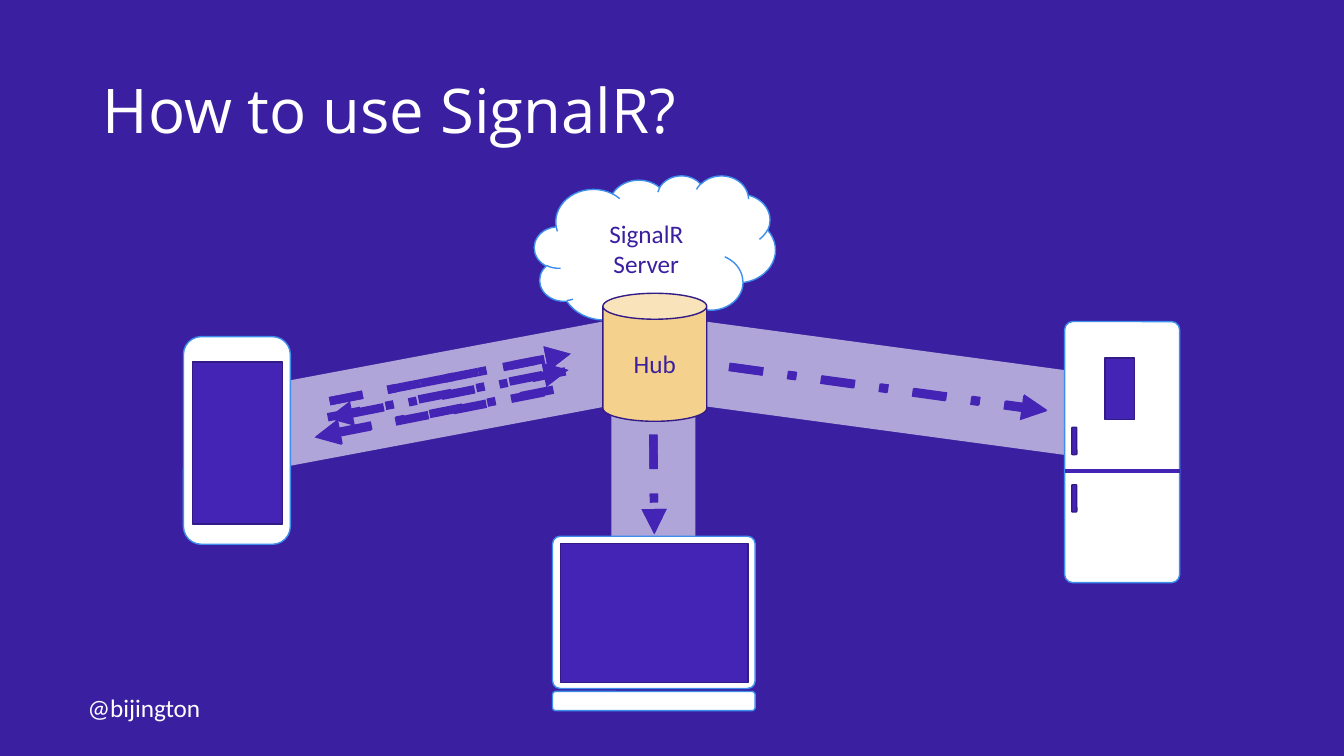
import pptx
import pptx.dml.color
import pptx.enum.dml
import pptx.enum.shapes
import pptx.enum.text
import pptx.oxml
import pptx.oxml.ns
import pptx.util

Inches = pptx.util.Inches
Pt = pptx.util.Pt
RGBColor = pptx.dml.color.RGBColor
SHAPE = pptx.enum.shapes.MSO_SHAPE
ALIGN = pptx.enum.text.PP_ALIGN
MIDDLE = pptx.enum.text.MSO_ANCHOR.MIDDLE
DASH = pptx.enum.dml.MSO_LINE.DASH
DASH_DOT = pptx.enum.dml.MSO_LINE.DASH_DOT

BACKGROUND = RGBColor(0x3A, 0x20, 0xA0)
WHITE = RGBColor(0xFF, 0xFF, 0xFF)
BLUE = RGBColor(0x3E, 0x8E, 0xED)
PURPLE = RGBColor(0x44, 0x24, 0xB5)
DARK_PURPLE = RGBColor(0x32, 0x1B, 0x86)
SAND = RGBColor(0xF5, 0xD1, 0x8E)


def add_child(parent, tag, **attributes):
    child = pptx.oxml.parse_xml(f"<a:{tag} {pptx.oxml.ns.nsdecls('a')}/>")
    for name, value in attributes.items():
        child.set(name, value)
    parent.append(child)


def write(shape, text, size, font, color, align):
    frame = shape.text_frame
    frame.vertical_anchor = MIDDLE
    para = frame.paragraphs[0]
    para.text = text
    para.alignment = align
    para.font.size = Pt(size)
    para.font.name = font
    para.font.color.rgb = color
    return frame


def add_text(page, box, text, size, font, wrap):
    label = page.shapes.add_textbox(*map(Inches, box))
    frame = write(label, text, size, font, WHITE, ALIGN.LEFT)
    frame.word_wrap = wrap
    return frame


def add_part(page, kind, box, fill, outline, text="", corner=None):
    part = page.shapes.add_shape(kind, *map(Inches, box))
    part.shadow.inherit = False
    part.fill.solid()
    part.fill.fore_color.rgb = fill
    part.line.color.rgb = outline
    part.line.width = Pt(1)
    if corner is not None:
        part.adjustments[0] = corner
    if text:
        write(part, text, 18, "Calibri", BACKGROUND, ALIGN.CENTER)


def add_line(page, start, end, color, width):
    line = page.shapes.add_connector(
        pptx.enum.shapes.MSO_CONNECTOR.STRAIGHT, *map(Inches, start + end))
    line.line.color.rgb = color
    line.line.width = Pt(width)
    add_child(line._element.spPr, "effectLst")
    return line


def add_pipe(page, start, end):
    """Draw a broad, see-through channel between a device and the hub."""
    pipe = add_line(page, start, end, WHITE, 60)
    color = next(pipe._element.iter(pptx.oxml.ns.qn("a:srgbClr")))
    add_child(color, "alpha", val="60000")


def add_message(page, start, end, dash, arrow):
    """Draw a dashed arrow; arrow is tailEnd (at end) or headEnd (at start)."""
    message = add_line(page, start, end, PURPLE, 6)
    message.line.dash_style = dash
    add_child(message.line._get_or_add_ln(), arrow, type="triangle")


def add_laptop(page, box):
    left, top, width, height = box
    base, gap, bezel = 0.19, 0.03, 0.07
    lid = height - base - gap
    add_part(page, SHAPE.ROUNDED_RECTANGLE, (left, top, width, lid),
             WHITE, BLUE, corner=0.05)
    add_part(page, SHAPE.ROUNDED_RECTANGLE,
             (left, top + height - base, width, base), WHITE, BLUE)
    add_part(page, SHAPE.RECTANGLE,
             (left + 0.08, top + bezel, width - 0.15, lid - 2 * bezel + 0.01),
             PURPLE, DARK_PURPLE)


def add_fridge(page, box):
    left, top, width, height = box
    divider = top + 1.48
    add_part(page, SHAPE.ROUNDED_RECTANGLE, box, WHITE, BLUE, corner=0.07)
    add_line(page, (left, divider), (left + width, divider), PURPLE, 3)
    for handle_top in (divider - 0.43, divider + 0.14):
        add_part(page, SHAPE.ROUNDED_RECTANGLE,
                 (left + 0.07, handle_top, 0.05, 0.27), PURPLE, DARK_PURPLE)
    add_part(page, SHAPE.RECTANGLE, (left + 0.4, top + 0.36, 0.29, 0.61),
             PURPLE, DARK_PURPLE)


def add_phone(page, box):
    left, top, width, height = box
    add_part(page, SHAPE.ROUNDED_RECTANGLE, box, WHITE, BLUE)
    add_part(page, SHAPE.RECTANGLE,
             (left + 0.09, top + 0.25, width - 0.17, height - 0.45),
             PURPLE, DARK_PURPLE)


def add_server(page, box):
    left, top, width, height = box
    add_part(page, SHAPE.CLOUD, (left, top, width, 1.52), WHITE, BLUE,
             "SignalR Server")
    hub_width, hub_height = 1.03, 1.27
    add_part(page, SHAPE.CAN,
             (left + (width - hub_width) / 2, top + height - hub_height,
              hub_width, hub_height), SAND, DARK_PURPLE, "Hub")


def add_messages(page):
    for start, end, dash, arrow in (
            ((3.27, 3.98), (5.66, 3.51), DASH, "tailEnd"),
            ((3.12, 4.34), (5.51, 3.87), DASH, "headEnd"),
            ((3.25, 4.14), (5.64, 3.67), DASH_DOT, "tailEnd"),
            ((3.25, 4.15), (5.63, 3.68), DASH_DOT, "headEnd"),
            ((7.23, 3.64), (10.38, 4.08), DASH_DOT, "tailEnd"),
            ((6.48, 4.32), (6.49, 5.3), DASH_DOT, "tailEnd"),
            ((7.24, 3.64), (10.39, 4.07), DASH_DOT, "tailEnd"),
            ((6.48, 4.31), (6.49, 5.3), DASH_DOT, "tailEnd"),
            ((3.13, 4.33), (5.52, 3.86), DASH_DOT, "headEnd"),
            ((3.27, 3.98), (5.66, 3.51), DASH_DOT, "tailEnd")):
        add_message(page, start, end, dash, arrow)


def main():
    deck = pptx.Presentation()
    deck.slide_width, deck.slide_height = Inches(13.33), Inches(7.5)
    page = deck.slides.add_slide(deck.slide_layouts[6])
    page.background.fill.solid()
    page.background.fill.fore_color.rgb = BACKGROUND

    for start, end in (((6.48, 6.1), (6.48, 3.67)),
                       ((6.77, 3.58), (10.91, 4.14)),
                       ((2.65, 4.24), (6.32, 3.55))):
        add_pipe(page, start, end)
    add_laptop(page, (5.48, 5.32, 2.01, 1.73))
    add_fridge(page, (10.56, 3.19, 1.14, 2.59))
    title = add_text(page, (0.92, 0.4, 11.5, 1.45), "How to use SignalR?",
                     44, "Open Sans", True)
    title.paragraphs[0].line_spacing = 0.9
    add_server(page, (5.3, 1.74, 2.39, 2.44))
    add_phone(page, (1.82, 3.34, 1.06, 2.06))
    add_text(page, (0.77, 6.82, 1.33, 0.4), "@bijington", 18, "Calibri", False)
    add_messages(page)
    deck.save("out.pptx")


if __name__ == "__main__":
    main()
